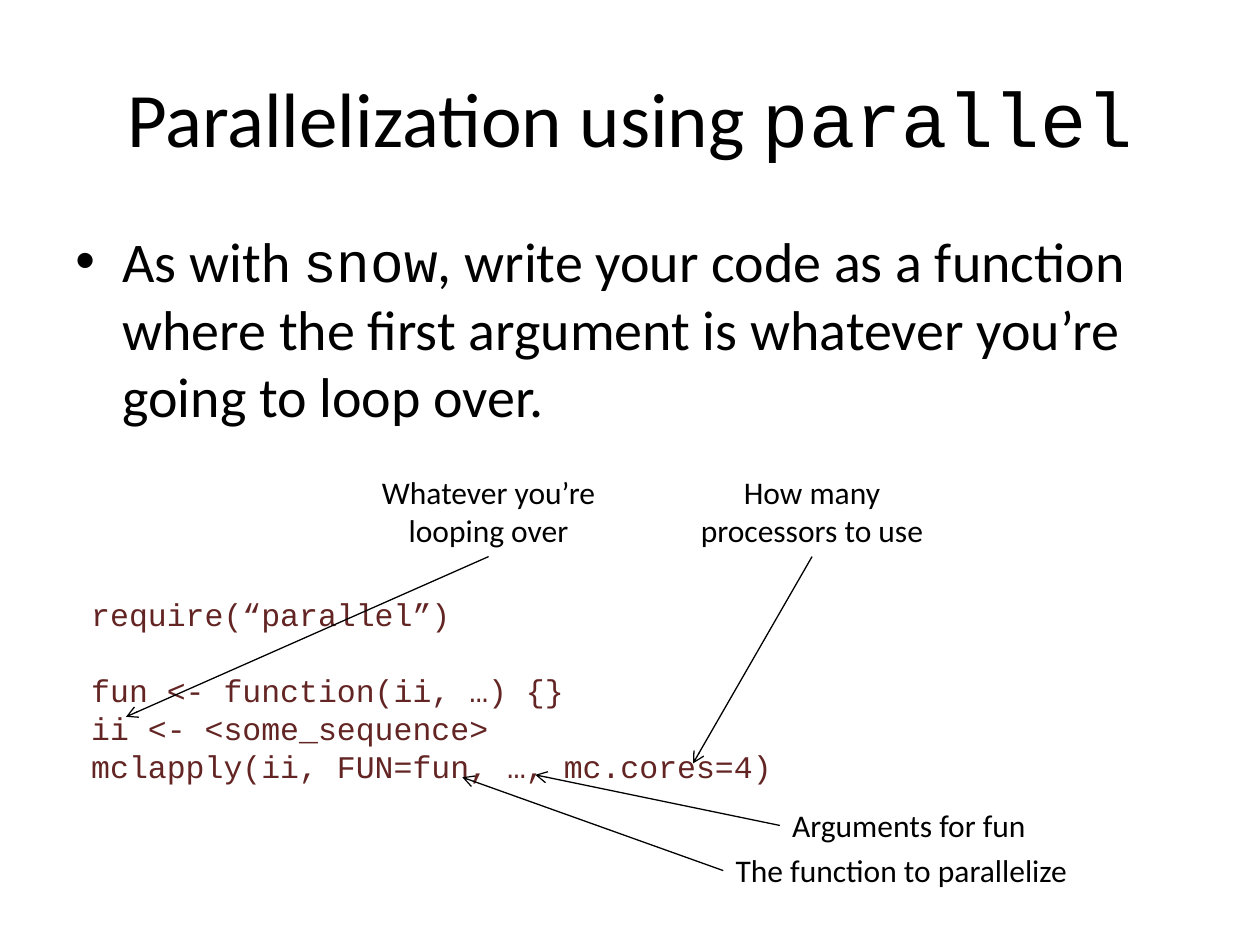
from lxml import etree
from pptx import Presentation
from pptx.dml.color import RGBColor
from pptx.enum.shapes import MSO_CONNECTOR
from pptx.enum.text import MSO_ANCHOR, PP_ALIGN
from pptx.oxml.ns import qn
from pptx.util import Cm, Pt

LEFT, CENTER = PP_ALIGN.LEFT, PP_ALIGN.CENTER
TOP, MIDDLE = MSO_ANCHOR.TOP, MSO_ANCHOR.MIDDLE
STRAIGHT = MSO_CONNECTOR.STRAIGHT
LEFT_SIDE, BOTTOM_SIDE = 1, 2
SANS, MONO = "Calibri", "Courier New"
BLACK, CODE_RED = "000000", "632523"
CODE_PITCH = 21.7


def color(hex_text):
    return RGBColor.from_string(hex_text)


def add_text(slide, box, paragraphs, size=18, ink=BLACK, align=LEFT, anchor=TOP):
    """Each paragraph is a list of (text, font) runs; box is in centimetres."""
    text_box = slide.shapes.add_textbox(*(Cm(value) for value in box))
    frame = text_box.text_frame
    frame.word_wrap = True
    frame.vertical_anchor = anchor
    for index, runs in enumerate(paragraphs):
        paragraph = frame.paragraphs[0] if index == 0 else frame.add_paragraph()
        paragraph.alignment = align
        for text, font in runs:
            run = paragraph.add_run()
            run.text = text
            run.font.name = font
            run.font.size = Pt(size)
            run.font.color.rgb = color(ink)
    return text_box


def add_bullet(paragraph, indent):
    properties = paragraph._p.get_or_add_pPr()
    properties.set("marL", str(Cm(indent)))
    properties.set("indent", str(-Cm(indent)))
    before = etree.SubElement(properties, qn("a:spcBef"))
    etree.SubElement(before, qn("a:spcPct"), val="20000")
    etree.SubElement(properties, qn("a:buFont"), typeface="Arial")
    etree.SubElement(properties, qn("a:buChar"), char="•")


def add_title(slide, box):
    add_text(slide, box, [[("Parallelization using ", SANS), ("parallel", MONO)]],
             size=44, align=CENTER, anchor=MIDDLE)


def add_body(slide, box):
    advice = add_text(slide, box, [[
        ("As with ", SANS), ("snow", MONO),
        (", write your code as a function where the first argument is "
         "whatever you’re going to loop over.", SANS)]], size=32)
    add_bullet(advice.text_frame.paragraphs[0], 0.95)


def add_code(slide, box):
    lines = ["require(“parallel”)",
             "fun <- function(ii, …) {}",
             "ii <- <some_sequence>",
             "mclapply(ii, FUN=fun, …, mc.cores=4)"]
    code = add_text(slide, box, [[(line, MONO)] for line in lines], ink=CODE_RED)
    paragraphs = code.text_frame.paragraphs
    for paragraph in paragraphs:
        paragraph.line_spacing = Pt(CODE_PITCH)
    # One line of space after the require call
    paragraphs[1].space_before = Pt(CODE_PITCH)


def add_callout(slide, box, text, side, target, align=LEFT):
    """A note with an arrow from one side; target is relative to the box."""
    left, top = box[:2]
    note = add_text(slide, box, [[(text, SANS)]], align=align)
    end_x, end_y = Cm(left + target[0]), Cm(top + target[1])
    arrow = slide.shapes.add_connector(STRAIGHT, Cm(left), Cm(top), end_x, end_y)
    arrow.begin_connect(note, side)
    arrow.line.color.rgb = color(BLACK)
    arrow.line.width = Pt(0.75)
    etree.SubElement(arrow.line._get_or_add_ln(), qn("a:tailEnd"), type="arrow")
    etree.SubElement(arrow._element.spPr, qn("a:effectLst"))


def main():
    deck = Presentation()
    deck.slide_width, deck.slide_height = Cm(25.4), Cm(19.05)
    slide = deck.slides.add_slide(deck.slide_layouts[6])

    add_title(slide, (1.27, 0.76, 22.86, 3.18))
    add_body(slide, (1.27, 4.45, 22.86, 12.57))
    add_code(slide, (1.59, 11.86, 17.15, 4.11))

    # Notes above the code
    add_callout(slide, (13.51, 9.42, 5.72, 1.8), "How many processors to use",
                BOTTOM_SIDE, (0.46, 5.97), CENTER)
    add_callout(slide, (6.99, 9.42, 5.72, 1.8), "Whatever you’re looping over",
                BOTTOM_SIDE, (-4.45, 5.03), CENTER)
    # Notes below the code
    add_callout(slide, (15.72, 16.13, 8.69, 1.02), "Arguments for fun",
                LEFT_SIDE, (-4.93, -0.51))
    add_callout(slide, (14.58, 17.04, 8.31, 1.02), "The function to parallelize",
                LEFT_SIDE, (-5.26, -1.37))

    deck.save("out.pptx")


if __name__ == "__main__":
    main()
